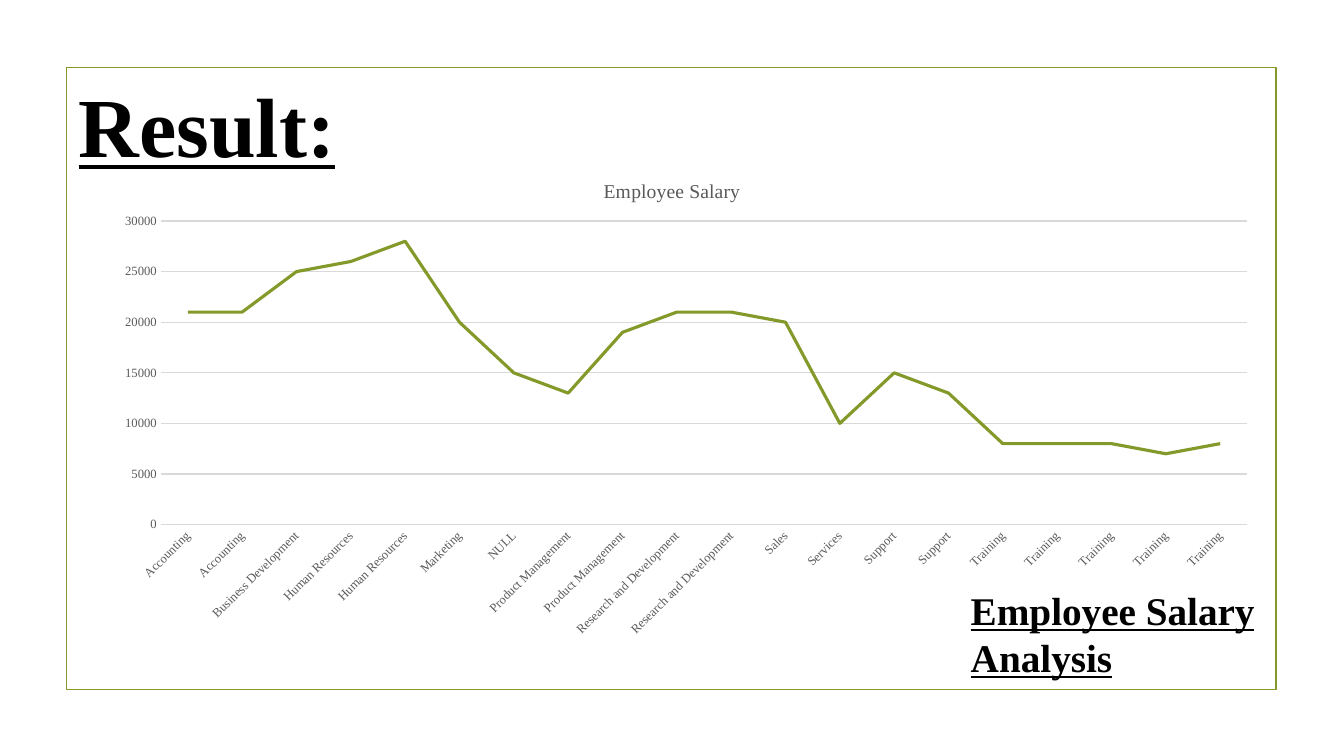
"""Build the employee salary result slide with its line chart."""
import pptx
import pptx.chart.data
import pptx.dml.color
import pptx.enum.chart
import pptx.enum.shapes
import pptx.enum.text
import pptx.oxml
import pptx.oxml.ns
import pptx.util
from pptx.util import Inches

FONT = "Times New Roman"
COLORS = {"olive": "83992A", "text": "000000", "label": "595959", "grid": "D9D9D9"}
SERIES = "Employee Salary"
SALARIES = [
    ("Accounting", 21000), ("Accounting", 21000),
    ("Business Development", 25000),
    ("Human Resources", 26000), ("Human Resources", 28000),
    ("Marketing", 20000), ("NULL", 15000),
    ("Product Management", 13000), ("Product Management", 19000),
    ("Research and Development", 21000), ("Research and Development", 21000),
    ("Sales", 20000), ("Services", 10000),
    ("Support", 15000), ("Support", 13000),
    ("Training", 8000), ("Training", 8000), ("Training", 8000),
    ("Training", 7000), ("Training", 8000),
]
FRAME = (0.66, 0.67, 12, 6.17)
TITLE = (0.68, 0.68, 2.87, 1.13)
CAPTION = (9.53, 5.77, 3.13, 1.04)
CHART = (0.67, 1.58, 11.99, 5.24)
PLOT = {"x": 0.08, "y": 0.12, "w": 0.9, "h": 0.57}
PLOT = {"x": 0.077, "y": 0.117, "w": 0.899, "h": 0.575}


def rgb(name):
    """Return the named colour."""
    return pptx.dml.color.RGBColor.from_string(COLORS[name])


def box(place):
    """Convert a place in inches to lengths."""
    return [Inches(v) for v in place]


def style_font(font, size, color, bold=False, underline=None):
    """Format one font."""
    font.name, font.size, font.bold = FONT, pptx.util.Pt(size), bold
    font.underline = underline
    font.color.rgb = rgb(color)


def style_line(line, color, width):
    """Format one line."""
    line.color.rgb = rgb(color)
    line.width = pptx.util.Pt(width)


def write(tf, text, size=18, color="text", **style):
    """Write formatted text into a text frame."""
    tf.word_wrap = True
    tf.vertical_anchor = pptx.enum.text.MSO_ANCHOR.TOP
    p = tf.paragraphs[0]
    p.alignment = pptx.enum.text.PP_ALIGN.LEFT
    r = p.add_run()
    r.text = text
    style_font(r.font, size, color, **style)


def set_plot_layout(chart):
    """Fix the inner plot area by fractions of the chart."""
    area = chart._chartSpace.chart.plotArea
    for old in area.xpath("c:layout"):
        area.remove(old)
    places = "".join(f'<c:{k} val="{v}"/>' for k, v in PLOT.items())
    area.insert(0, pptx.oxml.parse_xml(
        f'<c:layout {pptx.oxml.ns.nsdecls("c")}><c:manualLayout>'
        '<c:layoutTarget val="inner"/><c:xMode val="edge"/><c:yMode val="edge"/>'
        f'{places}</c:manualLayout></c:layout>'))


def add_salary_chart(s):
    """Add the salary line chart."""
    data = pptx.chart.data.CategoryChartData()
    data.categories = [department for department, _ in SALARIES]
    data.add_series(SERIES, [salary for _, salary in SALARIES])
    kinds = pptx.enum.chart
    chart = s.shapes.add_chart(kinds.XL_CHART_TYPE.LINE, *box(CHART), data).chart
    style_font(chart.font, 10, "text")
    chart.has_legend = False
    chart.has_title = True
    chart.chart_title.include_in_layout = False
    title = chart.chart_title.text_frame
    title.text = SERIES
    style_font(title.paragraphs[0].runs[0].font, 14, "label")

    for axis in (chart.category_axis, chart.value_axis):
        axis.major_tick_mark = axis.minor_tick_mark = kinds.XL_TICK_MARK.NONE
        style_font(axis.tick_labels.font, 9, "label")
    style_line(chart.category_axis.format.line, "grid", 0.75)
    chart.category_axis._element.xpath("c:txPr/a:bodyPr")[0].set("rot", "-2700000")
    values = chart.value_axis
    values.minimum_scale, values.maximum_scale, values.major_unit = 0, 30000, 5000
    values.format.line.fill.background()
    style_line(values.major_gridlines.format.line, "grid", 0.75)

    plot = chart.plots[0]
    plot.vary_by_categories = False
    line = plot.series[0]
    line.smooth = False
    line.marker.style = kinds.XL_MARKER_STYLE.NONE
    style_line(line.format.line, "olive", 2.25)
    set_plot_layout(chart)


def main():
    """Build and save the slide."""
    prs = pptx.Presentation()
    prs.slide_width, prs.slide_height = Inches(13.33), Inches(7.5)
    s = prs.slides.add_slide(prs.slide_layouts[5])

    sp = s.shapes.add_shape(pptx.enum.shapes.MSO_SHAPE.RECTANGLE, *box(FRAME))
    sp.shadow.inherit = False
    sp.fill.background()
    style_line(sp.line, "olive", 1.25)

    title = s.shapes.title
    title.left, title.top, title.width, title.height = box(TITLE)
    caption = s.shapes.add_textbox(*box(CAPTION))
    heading = {"bold": True, "underline": True}
    write(title.text_frame, "Result:", size=60, **heading)
    write(caption.text_frame, "Employee Salary Analysis", size=28, **heading)
    add_salary_chart(s)
    prs.save("out.pptx")


if __name__ == "__main__":
    main()
